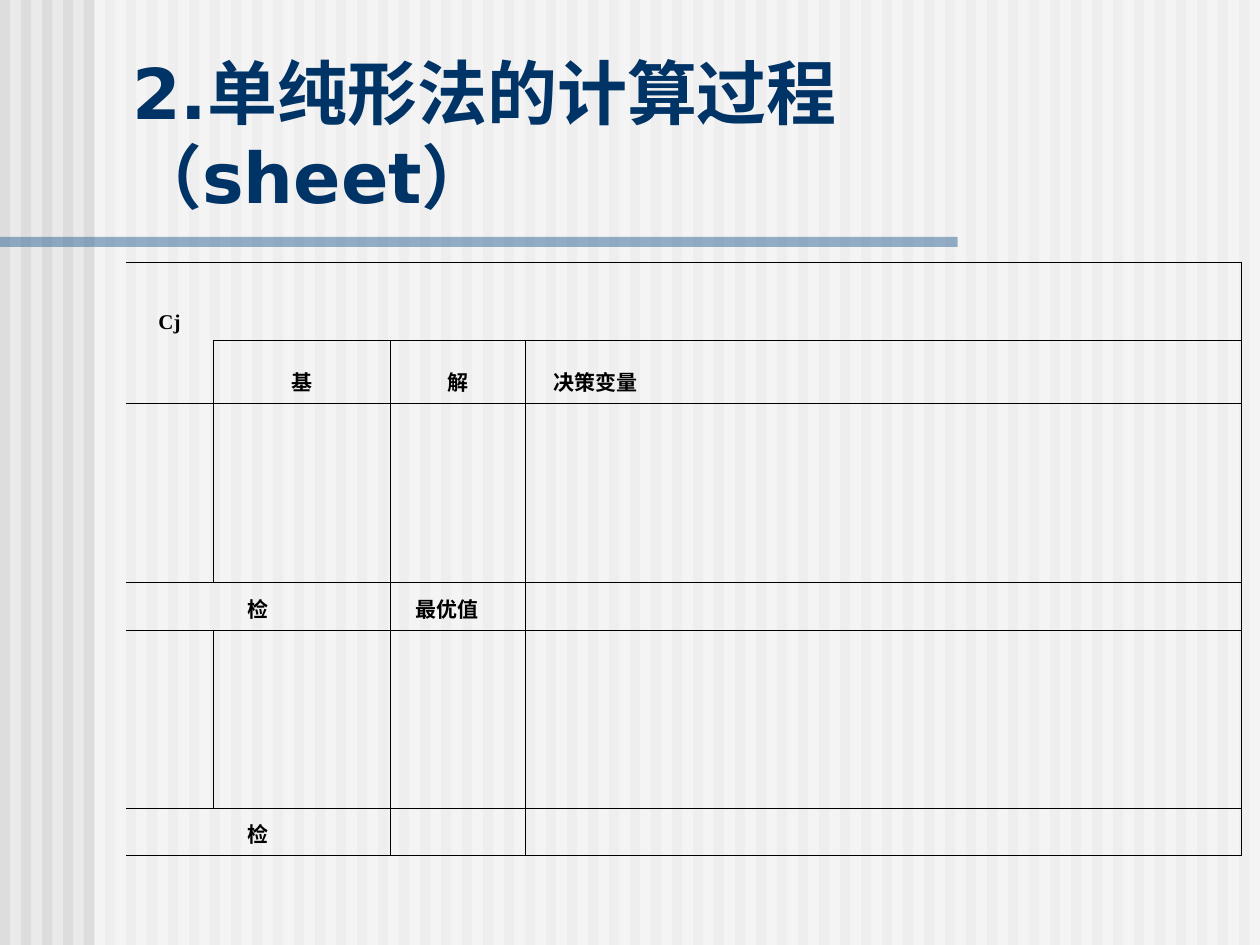
from dataclasses import dataclass
from lxml import etree
from pptx import Presentation
from pptx.dml.color import RGBColor
from pptx.enum.shapes import MSO_SHAPE
from pptx.enum.text import MSO_ANCHOR, MSO_AUTO_SIZE, PP_ALIGN
from pptx.oxml.ns import qn
from pptx.util import Inches, Pt

RECT = MSO_SHAPE.RECTANGLE
BOTTOM = MSO_ANCHOR.BOTTOM
LEFT, CENTER = PP_ALIGN.LEFT, PP_ALIGN.CENTER
FIXED = MSO_AUTO_SIZE.NONE


@dataclass(frozen=True)
class Theme:
    back: str = "EAEAEA"
    stripe: str = "DDDDDD"
    veil: str = "FFFFFF"
    bar: str = "336699"
    title: str = "003366"
    ink: str = "000000"
    head: str = "DejaVu Sans"
    latin: str = "Times New Roman"
    asian: str = "Noto Sans CJK SC"
    big: int = 40
    small: int = 12
    rule: float = 0.45


THEME = Theme()
COLS = [0.69, 1.41, 1.07, 1.12, 1.15, 1.07, 1.22, 1.12]
ROWS = [0.62, 0.5, 0.71, 0.71, 0.38, 0.71, 0.71, 0.37]
WORDS = {(0, 0): "Cj", (1, 1): "基", (1, 2): "解", (1, 3): "决策变量",
         (4, 0): "检", (4, 2): "最优值\u3000", (7, 0): "检"}
SUMS = (4, 7)  # rows whose first two cells are merged


def color(code):
    return RGBColor.from_string(code)


def style(para, size, name, code):
    for run in para.runs:
        font = run.font
        font.size, font.name, font.bold = Pt(size), name, True
        font.color.rgb = color(code)
        east = etree.SubElement(run._r.rPr, qn("a:ea"))
        east.set("typeface", THEME.asian)


def block(slide, box, code, alpha=None):
    shape = slide.shapes.add_shape(RECT, *map(Inches, box))
    shape.shadow.inherit = False
    shape.line.fill.background()
    shape.fill.solid()
    shape.fill.fore_color.rgb = color(code)
    if alpha:
        tint = shape.fill._xPr.find(".//" + qn("a:srgbClr"))
        etree.SubElement(tint, qn("a:alpha")).set("val", str(alpha * 1000))


def backdrop(slide, box):
    left, top, width, height = box
    fill = slide.background.fill
    fill.solid()
    fill.fore_color.rgb = color(THEME.back)
    # Six stripes to the inch
    for i in range(int(width * 6)):
        block(slide, (left + i / 6, top, 0.08, height), THEME.stripe)
    # Pale veil and title bar
    block(slide, (left + 0.75, top, width - 0.75, height), THEME.veil, 50)
    block(slide, (left, top + 1.88, 7.6, 0.08), THEME.bar, 50)


def heading(slide, box, text):
    title = slide.shapes.title
    title.left, title.top, title.width, title.height = map(Inches, box)
    frame = title.text_frame
    frame.text = text
    frame.word_wrap = True
    frame.auto_size = FIXED
    frame.vertical_anchor = BOTTOM
    frame.margin_right = Inches(0.4)
    para = frame.paragraphs[0]
    para.alignment = LEFT
    style(para, THEME.big, THEME.head, THEME.title)
    # Bring the title in front of the backdrop
    slide.shapes._spTree.append(title._element)


def flat(row, col):
    """Is there a rule above this row, at this column?"""
    return row not in (3, 6) and (row != 1 or col > 0)


def upright(row, col):
    """Is there a rule to the left of this column, at this row?"""
    if col == len(COLS):
        return True
    if col == 1:
        return row > 0 and row not in SUMS
    return row > 0 and col in (2, 3)


def edges(cell, row, col):
    # A merged cell ends one column further right
    end = 2 if row in SUMS and col == 0 else col + 1
    sides = {"L": upright(row, col), "R": upright(row, end),
             "T": flat(row, col), "B": flat(row + 1, col)}
    props = cell._tc.get_or_add_tcPr()
    for i, (side, shown) in enumerate(sides.items()):
        line = etree.Element(qn("a:ln" + side))
        if shown:
            line.set("w", str(Pt(THEME.rule)))
            fill = etree.SubElement(line, qn("a:solidFill"))
            etree.SubElement(fill, qn("a:srgbClr")).set("val", THEME.ink)
        else:
            etree.SubElement(line, qn("a:noFill"))
        props.insert(i, line)


def tableau(slide, box):
    frame = slide.shapes.add_table(len(ROWS), len(COLS), *map(Inches, box))
    table = frame.table
    table.first_row = table.horz_banding = False
    for col, width in zip(table.columns, COLS):
        col.width = Inches(width)
    for r, height in enumerate(ROWS):
        table.rows[r].height = Inches(height)
        for c in range(len(COLS)):
            cell = table.cell(r, c)
            cell.fill.background()
            cell.vertical_anchor = BOTTOM
            edges(cell, r, c)
            para = cell.text_frame.paragraphs[0]
            para.alignment = CENTER
            if (r, c) in WORDS:
                para.text = WORDS[r, c]
                style(para, THEME.small, THEME.latin, THEME.ink)
            else:
                # Keeps empty rows from growing
                end = etree.SubElement(para._p, qn("a:endParaRPr"))
                end.set("sz", str(THEME.small * 100))
    for r in SUMS:
        table.cell(r, 0).merge(table.cell(r, 1))


def main():
    deck = Presentation()
    deck.slide_width, deck.slide_height = Inches(10), Inches(7.5)
    slide = deck.slides.add_slide(deck.slide_layouts[5])
    backdrop(slide, (0, 0, 10, 7.5))
    tableau(slide, (1, 2.08, sum(COLS), sum(ROWS)))
    heading(slide, (0.95, 1.01, 8.93, 0.77), "2.单纯形法的计算过程（sheet）")
    deck.save("out.pptx")


main()
